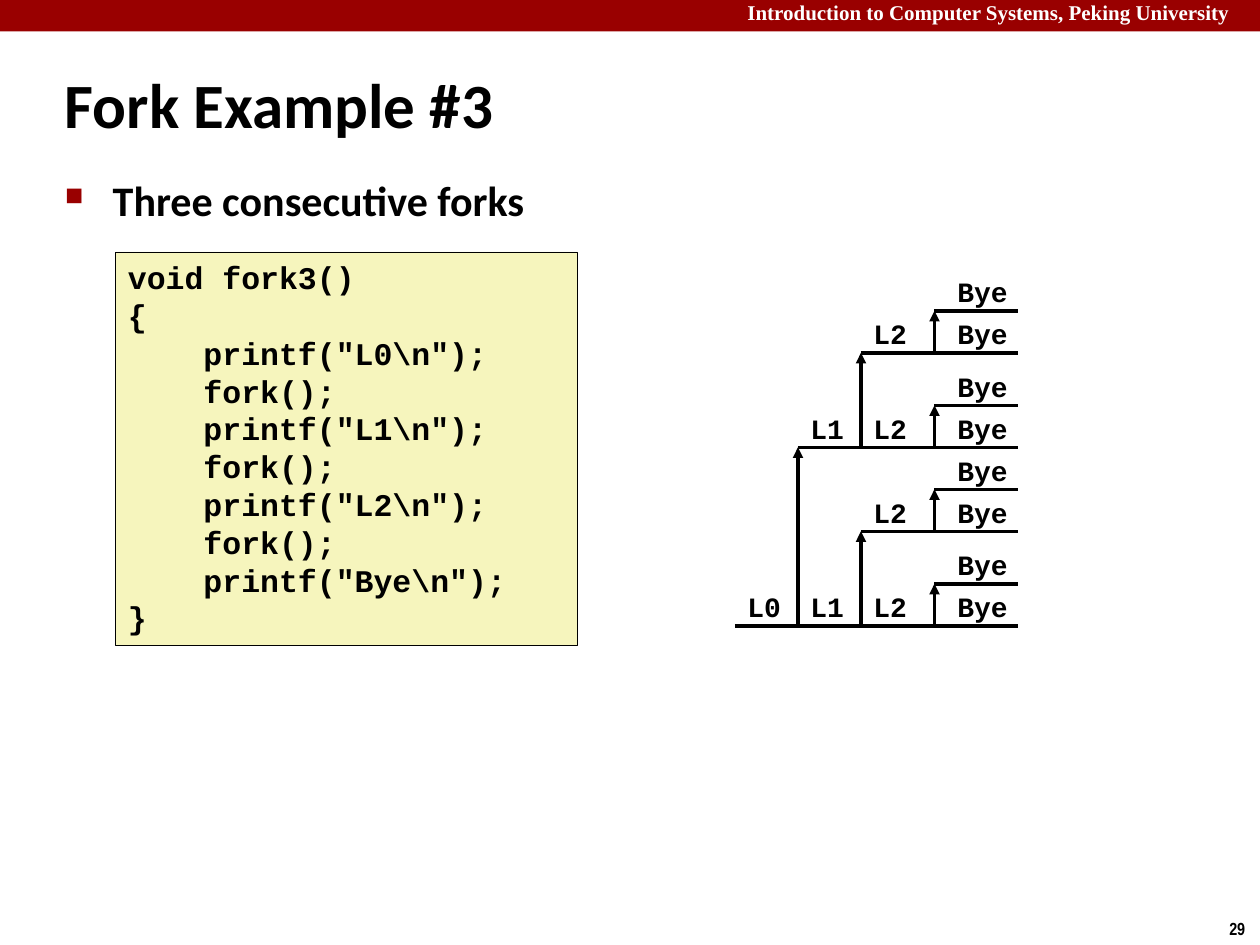
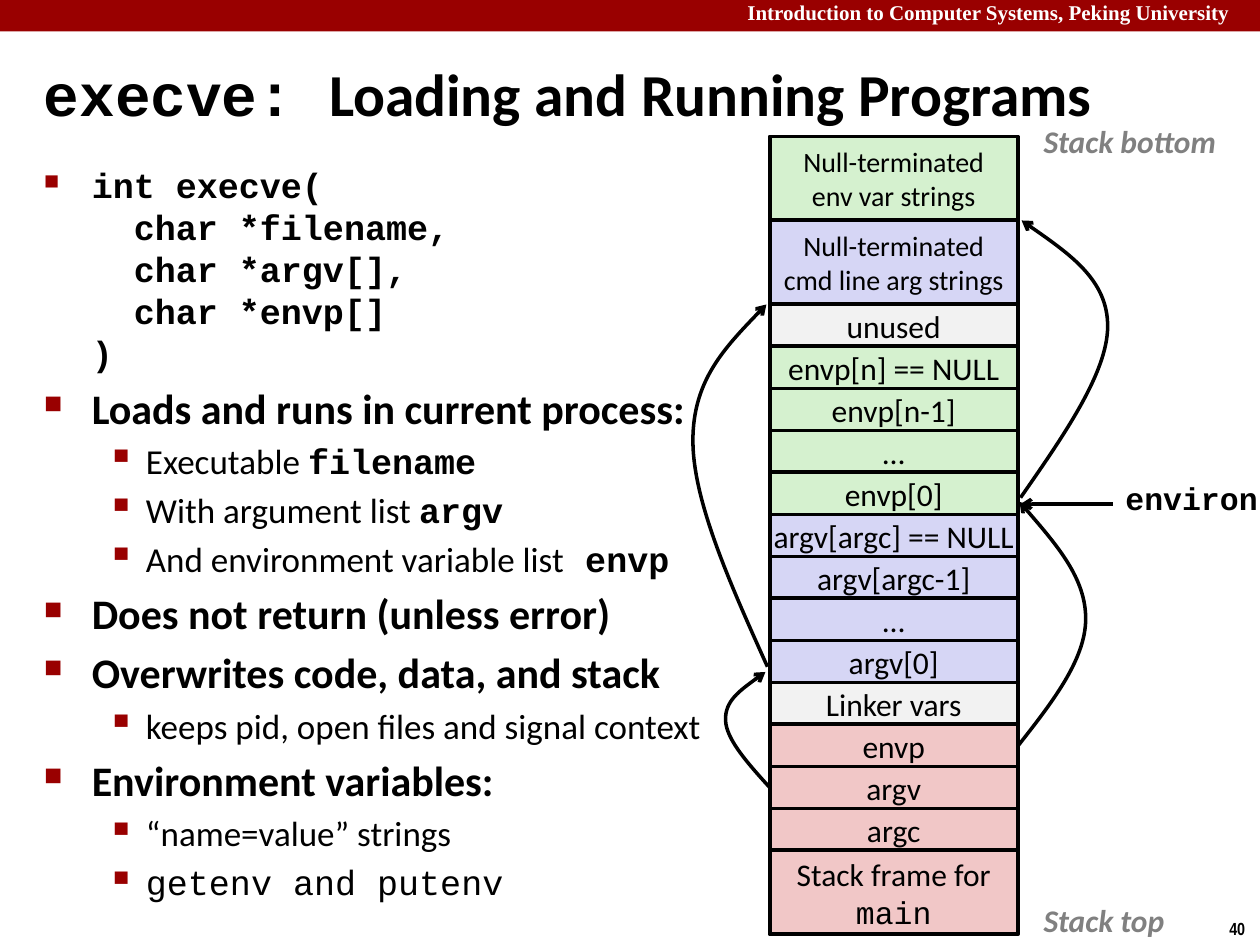
"""Two lecture slides on process control: nested forks and execve."""
from lxml import etree
from pptx import Presentation
from pptx import util as u
from pptx.dml import color
from pptx.enum import shapes, text
from pptx.oxml import ns

COLORS = {"band": "990000", "ink": "000000", "paper": "FFFFFF", "code": "F6F5BD",
          "env": "D5F1CF", "arg": "D6D6F5", "plain": "F2F2F2", "frame": "F1C7C7",
          "note": "808080"}
SANS, MONO = "Calibri", "Courier New"
COLUMNS, ROWS = 120, 90  # twelve grid units to the inch

BODY = {"name": SANS, "size": 24, "bold": True}
DETAIL = {"name": SANS, "size": 20, "bold": False}
CODE = {"name": MONO, "size": 20, "bold": True}
NOTE = {"name": SANS, "size": 18, "bold": True, "italic": True, "color": "note"}
# level: left margin in inches, hanging indent, bullet, bullet size in percent
BULLETS = {0: (0.38, 0.38, "■", 60), 1: (0.81, 0.31, "▪", 110)}


def add_xml(parent, tag, **attributes):
    """Append a drawing element and return it."""
    return etree.SubElement(parent, ns.qn("a:" + tag), attributes)


def set_values(target, values):
    """Set each attribute named in a dict."""
    for name, value in values.items():
        setattr(target, name, value)


class Deck:
    """Holds the shared style and the slide being drawn."""

    def __init__(self):
        self.show = Presentation()
        set_values(self.show, {"slide_width": u.Inches(10), "slide_height": u.Inches(7.5)})
        self.slide = None

    def x(self, column):
        """Turn grid columns into a length."""
        return round(self.show.slide_width * column / COLUMNS)

    def y(self, row):
        """Turn grid rows into a length."""
        return round(self.show.slide_height * row / ROWS)

    def area(self, left, top, width, height):
        """Turn a grid rectangle into lengths."""
        return self.x(left), self.y(top), self.x(width), self.y(height)

    def rgb(self, name):
        """Look up a colour of the deck."""
        return color.RGBColor.from_string(COLORS[name])

    def new_slide(self, number):
        """Start a slide with its band, course name and number."""
        self.slide = self.show.slides.add_slide(self.show.slide_layouts[6])
        self.box((0, 0, COLUMNS, 3), "band")
        self.label((70, -0.6, 50, 3.6), "Introduction to Computer Systems, Peking University",
                   name="Times New Roman", size=12, bold=True, color="paper")
        self.label((115.9, 86.8, 4.1, 3.2), str(number),
                   name="Arial Narrow", size=10, bold=True)

    def add_words(self, paragraph, content, style):
        """Add styled words, breaking them at line ends."""
        for index, line in enumerate(content.split("\n")):
            if index:
                paragraph.add_line_break()
            run = paragraph.add_run()
            run.text = line
            values = {"color": "ink", **style}
            run.font.color.rgb = self.rgb(values.pop("color"))
            set_values(run.font, {**values, "size": u.Pt(values["size"])})

    def fill_text(self, frame, paragraphs, align=text.PP_ALIGN.LEFT, **frame_values):
        """Fill in paragraphs, each a list of (content, style) runs."""
        set_values(frame, frame_values)
        for index, runs in enumerate(paragraphs):
            paragraph = frame.add_paragraph() if index else frame.paragraphs[0]
            paragraph.alignment = align
            for content, style in runs:
                self.add_words(paragraph, content, style)

    def label(self, area, content, **style):
        """Place a one-line text that does not wrap."""
        holder = self.slide.shapes.add_textbox(*self.area(*area))
        self.fill_text(holder.text_frame, [[(content, style)]], word_wrap=False,
                       auto_size=text.MSO_AUTO_SIZE.SHAPE_TO_FIT_TEXT)

    def title(self, area, runs):
        """Place the slide title."""
        holder = self.slide.shapes.add_textbox(*self.area(*area))
        self.fill_text(holder.text_frame, [runs], word_wrap=True,
                       vertical_anchor=text.MSO_ANCHOR.MIDDLE)

    def bullets(self, area, items):
        """Place a bulleted list of (level, runs)."""
        frame = self.slide.shapes.add_textbox(*self.area(*area)).text_frame
        self.fill_text(frame, [runs for _, runs in items], word_wrap=True)
        for paragraph, (level, _) in zip(frame.paragraphs, items):
            margin, hanging, mark, percent = BULLETS[level]
            paragraph.level = level
            layout = paragraph._p.get_or_add_pPr()
            layout.set("marL", str(u.Inches(margin)))
            layout.set("indent", str(-u.Inches(hanging)))
            add_xml(add_xml(layout, "spcBef"), "spcPct", val="20000")
            add_xml(add_xml(layout, "buClr"), "srgbClr", val=COLORS["band"])
            add_xml(layout, "buSzPct", val=str(percent * 1000))
            add_xml(layout, "buChar", char=mark)

    def box(self, area, fill, line_width=None):
        """Draw a filled rectangle, outlined if a width is given."""
        shape = self.slide.shapes.add_shape(shapes.MSO_SHAPE.RECTANGLE, *self.area(*area))
        shape.shadow.inherit = False
        shape.fill.solid()
        shape.fill.fore_color.rgb = self.rgb(fill)
        if line_width:
            self.stroke(shape, line_width)
        else:
            shape.line.fill.background()
        return shape

    def stroke(self, shape, width=2, head=None):
        """Set an ink outline, with an arrowhead at its end if asked."""
        shape.line.color.rgb = self.rgb("ink")
        shape.line.width = u.Pt(width)
        if head:
            add_xml(shape._element.spPr.find(ns.qn("a:ln")), "tailEnd", type=head)

    def line(self, start, end, head=None):
        """Draw a straight line between two grid points."""
        (x1, y1), (x2, y2) = start, end
        connector = self.slide.shapes.add_connector(
            shapes.MSO_CONNECTOR.STRAIGHT, self.x(x1), self.y(y1), self.x(x2), self.y(y2))
        self.stroke(connector, head=head)
        add_xml(connector._element.spPr, "effectLst")

    def curve(self, start, bend, end):
        """Draw a smooth arrow through three grid points."""
        def middle(a, b):
            return tuple((p + q) / 2 for p, q in zip(a, b))

        tangent = [(e - s) / 6 for s, e in zip(start, end)]
        before = tuple(b - t for b, t in zip(bend, tangent))
        after = tuple(b + t for b, t in zip(bend, tangent))
        points = [middle(start, before), before, bend, after, middle(after, end), end]
        builder = self.slide.shapes.build_freeform(self.x(start[0]), self.y(start[1]))
        builder.add_line_segments([(self.x(c), self.y(r)) for c, r in points], close=False)
        arrow = builder.convert_to_shape()
        segments = list(arrow._element.iter(ns.qn("a:lnTo")))
        for first in range(0, len(segments), 3):
            bezier = add_xml(segments[first].getparent(), "cubicBezTo")
            for segment in segments[first:first + 3]:
                bezier.append(segment[0])
                segment.getparent().remove(segment)
        arrow.shadow.inherit = False
        arrow.fill.background()
        self.stroke(arrow, head="arrow")


FORK_CODE = r"""void fork3()
{
    printf("L0\n");
    fork();
    printf("L1\n");
    fork();
    printf("L2\n");
    fork();
    printf("Bye\n");
}"""
# each step: start column, label column, label width, label, rise of the child it forks
FORK_STEPS = [(70, 70, 5.6, "L0", 17), (76, 76, 5.6, "L1", 9),
              (82, 82, 5.6, "L2", 4), (89, 90, 7.2, "Bye", None)]


def draw_process(deck, first, row):
    """Draw a process from its first step on, and all its children."""
    deck.line((FORK_STEPS[first][0], row), (97, row))
    for step in range(first, len(FORK_STEPS)):
        _, column, width, output, rise = FORK_STEPS[step]
        deck.label((column, row - 4, width, 4.4), output, name=MONO, size=16, bold=True)
        if rise:
            fork_column = FORK_STEPS[step + 1][0]
            deck.line((fork_column, row), (fork_column, row - rise), "triangle")
            draw_process(deck, step + 1, row - rise)


def fork_slide(deck):
    """Show three consecutive forks and their process graph."""
    deck.new_slide(29)
    deck.title((5, 6, 66.8, 7.6), [("Fork Example #3", {**BODY, "size": 36})])
    deck.bullets((5, 16, 103.7, 10), [(0, [("Three consecutive forks", BODY)])])
    listing = deck.box((11, 24, 44, 37.5), "code", 0.25)
    deck.fill_text(listing.text_frame,
                   [[(row, {**CODE, "size": 18})] for row in FORK_CODE.split("\n")],
                   word_wrap=True, vertical_anchor=text.MSO_ANCHOR.TOP)
    draw_process(deck, 0, 59.6)


EXECVE_POINTS = [
    (0, [("int execve(\n  char *filename,\n  char *argv[],\n  char *envp[]\n)", CODE)]),
    (0, [("Loads and runs in current process:", BODY)]),
    (1, [("Executable ", DETAIL), ("filename", CODE)]),
    (1, [("With argument list ", DETAIL), ("argv", CODE)]),
    (1, [("And environment variable list", DETAIL), (" envp", CODE)]),
    (0, [("Does not return (unless error)", BODY)]),
    (0, [("Overwrites code, data, and stack", BODY)]),
    (1, [("keeps pid, open files and signal context", DETAIL)]),
    (0, [("Environment variables:", BODY)]),
    (1, [("“name=value” strings", DETAIL)]),
    (1, [("getenv and putenv", {**CODE, "bold": False})]),
]
CELL = {"name": SANS, "size": 18}
STRINGS = {"name": SANS, "size": 16}
# from stack bottom to stack top: fill and lines of (content, style)
STACK = [
    ("env", [("Null-terminated", STRINGS), ("env var strings", STRINGS)]),
    ("arg", [("Null-terminated", STRINGS), ("cmd line arg strings", STRINGS)]),
    ("plain", [("unused", CELL)]),
    *[("env", [(cell, CELL)]) for cell in ("envp[n] == NULL", "envp[n-1]", "…", "envp[0]")],
    *[("arg", [(cell, CELL)]) for cell in ("argv[argc] == NULL", "argv[argc-1]", "…", "argv[0]")],
    ("plain", [("Linker vars", CELL)]),
    *[("frame", [(cell, CELL)]) for cell in ("envp", "argv", "argc")],
    ("frame", [("Stack frame for", CELL), ("main", {**CELL, "name": MONO})]),
]
POINTERS = [  # start, bend, end
    ((73.3, 75), (69.1, 68.6), (72.9, 64)),
    ((73.1, 63.5), (66, 42), (73, 29)),
    ((96.9, 71.1), (103.4, 59), (97.1, 47.8)),
    ((97.2, 47.4), (105.5, 31.1), (97.3, 21)),
]


def execve_slide(deck):
    """Explain execve beside the stack of the new program."""
    deck.new_slide(40)
    deck.title((3, 5, 113, 7.6), [("execve: ", {**CODE, "size": 34}),
                                  ("Loading and Running Programs", {**BODY, "size": 34})])
    deck.bullets((3, 15, 70, 71), EXECVE_POINTS)
    top = 13
    for fill, lines in STACK:
        height = 4 * len(lines)
        cell = deck.box((73.3, top, 23.64, height), fill, 2.25)
        deck.fill_text(cell.text_frame, [[line] for line in lines], text.PP_ALIGN.CENTER,
                       word_wrap=False, vertical_anchor=text.MSO_ANCHOR.MIDDLE)
        top += height
    for pointer in POINTERS:
        deck.curve(*pointer)
    deck.label((98.2, 11, 19.8, 4.8), "Stack bottom", **NOTE)
    deck.label((98.2, 85.2, 14.8, 4.8), "Stack top", **NOTE)
    deck.label((106, 45, 15.1, 4.8), "environ", **{**CODE, "size": 18})
    deck.line((106, 48), (97.2, 48), "arrow")


lecture = Deck()
fork_slide(lecture)
execve_slide(lecture)
lecture.show.save("out.pptx")
